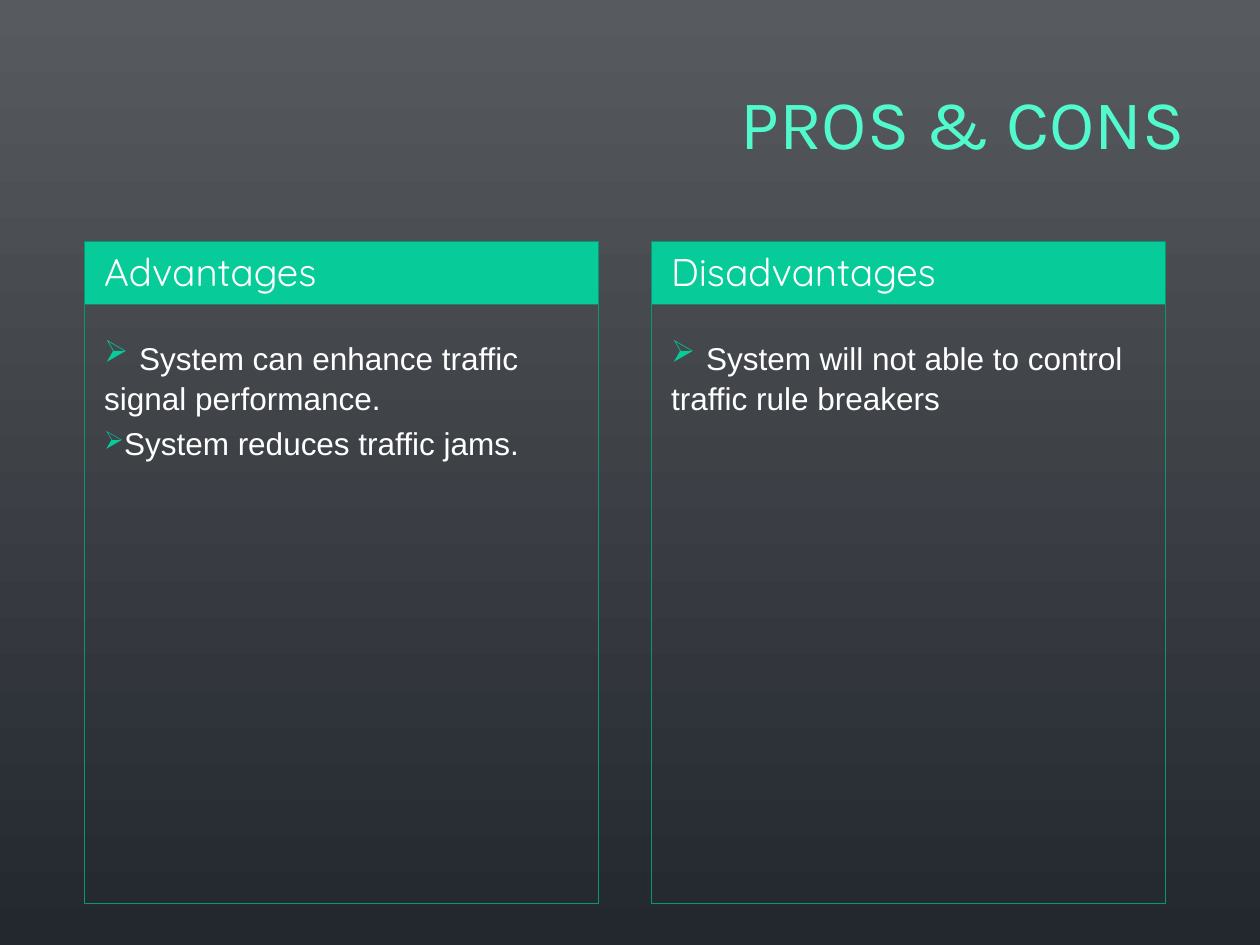
"""Build a pros and cons slide with two bordered columns."""
from lxml import etree
from pptx import Presentation
from pptx.dml.color import RGBColor
from pptx.enum.shapes import MSO_SHAPE
from pptx.enum.text import MSO_ANCHOR, PP_ALIGN
from pptx.oxml.ns import qn
from pptx.util import Cm, Pt

RECT = MSO_SHAPE.RECTANGLE
TOP, MIDDLE = MSO_ANCHOR.TOP, MSO_ANCHOR.MIDDLE
LEFT, RIGHT = PP_ALIGN.LEFT, PP_ALIGN.RIGHT
SLATE = RGBColor(0x57, 0x5A, 0x5F)
NIGHT = RGBColor(0x23, 0x27, 0x2E)
MINT = RGBColor(0x51, 0xF9, 0xCD)
GREEN = RGBColor(0x07, 0xCB, 0x98)
PINE = RGBColor(0x05, 0x98, 0x72)
WHITE = RGBColor(0xFF, 0xFF, 0xFF)


def write(par, text, size=18, font="Arial", color=WHITE, align=LEFT,
          before=0, margin=0, bullet=None):
    """Add a run to a paragraph and set the paragraph's format."""
    run = par.add_run()
    run.text = text
    run.font.size = Pt(size)
    run.font.name = font
    run.font.color.rgb = color
    par.alignment = align
    par.space_before = Pt(before)
    props = par._p.get_or_add_pPr()
    props.set("marL", str(Cm(margin)))
    props.set("indent", "0")
    if bullet and props.find(qn("a:buChar")) is None:
        tint = etree.SubElement(props, qn("a:buClr"))
        etree.SubElement(tint, qn("a:srgbClr"), val=str(GREEN))
        etree.SubElement(props, qn("a:buSzPct"), val="80000")
        etree.SubElement(props, qn("a:buChar"), char=bullet)


deck = Presentation()
deck.slide_width, deck.slide_height = Cm(25.4), Cm(19.05)
slide = deck.slides.add_slide(deck.slide_layouts[6])

back = slide.background.fill
back.gradient()
back.gradient_angle = 270
for stop, color, place in zip(back.gradient_stops, (SLATE, NIGHT), (0, 1)):
    stop.color.rgb = color
    stop.position = place

title = slide.shapes.add_textbox(Cm(1.07), Cm(1.27), Cm(23.06), Cm(2.34))
title.text_frame.word_wrap = True
title.text_frame.vertical_anchor = MIDDLE
write(title.text_frame.paragraphs[0], "PROS & CONS", size=40, font="Karla",
      color=MINT, align=RIGHT)

columns = [
    ("Advantages", ["System can enhance traffic signal performance.",
                    "System reduces traffic jams."]),
    ("Disadvantages", ["System will not able to control traffic rule breakers"]),
]
for num, (head, points) in enumerate(columns):
    left = Cm(1.7 + 11.43 * num)
    band = slide.shapes.add_shape(RECT, left, Cm(4.87), Cm(10.37), Cm(1.27))
    band.shadow.inherit = False
    band.fill.solid()
    band.fill.fore_color.rgb = GREEN
    band.line.fill.background()

    panel = slide.shapes.add_shape(RECT, left, Cm(4.87), Cm(10.37), Cm(13.34))
    panel.shadow.inherit = False
    panel.fill.background()
    panel.line.color.rgb = PINE
    panel.line.width = Pt(0.75)
    frame = panel.text_frame
    frame.word_wrap = True
    frame.vertical_anchor = TOP
    write(frame.paragraphs[0], head, size=22, font="Quicksand",
          before=5.5, margin=0.15)
    for row, point in enumerate(points):
        par = frame.add_paragraph()
        gap = 4.5 if row else 22
        if row == 0:
            write(par, " ", size=22, font="Quicksand", before=gap,
                  margin=0.15, bullet="➢")
        write(par, point, before=gap, margin=0.15, bullet="➢")

deck.save("out.pptx")
